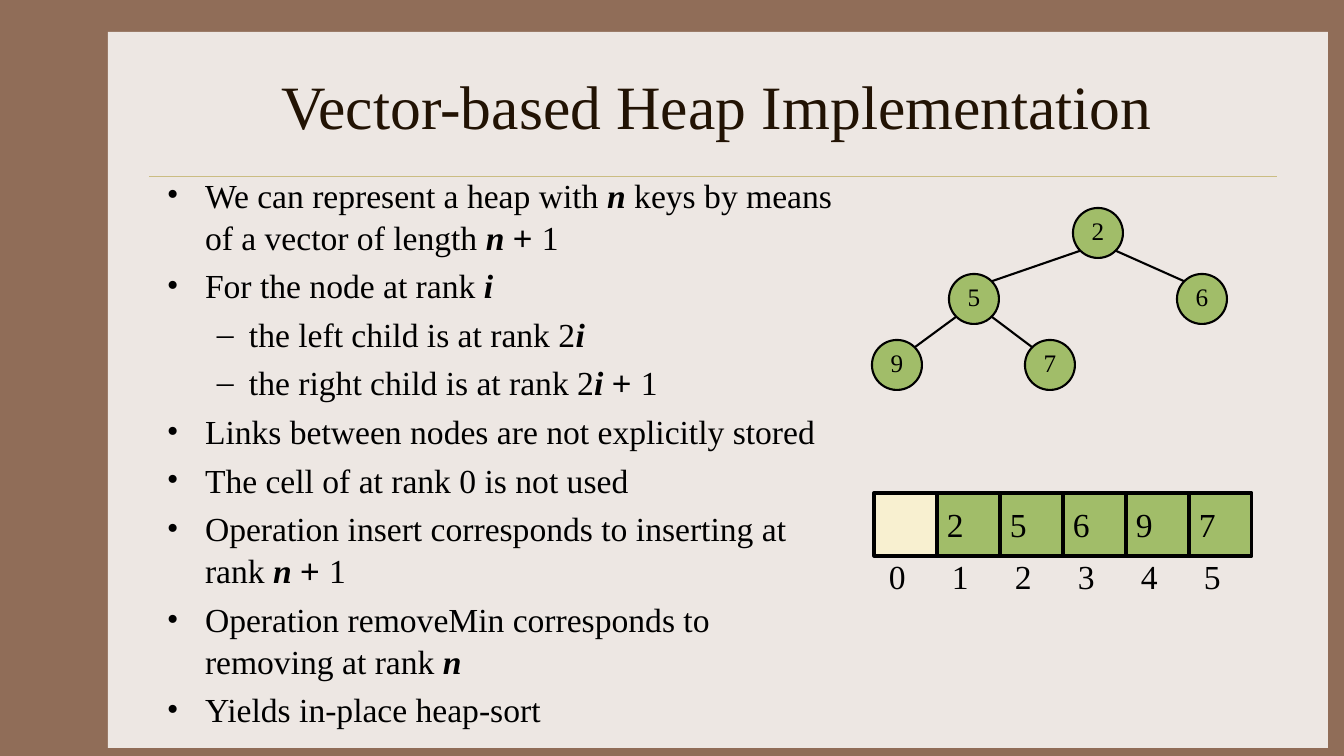
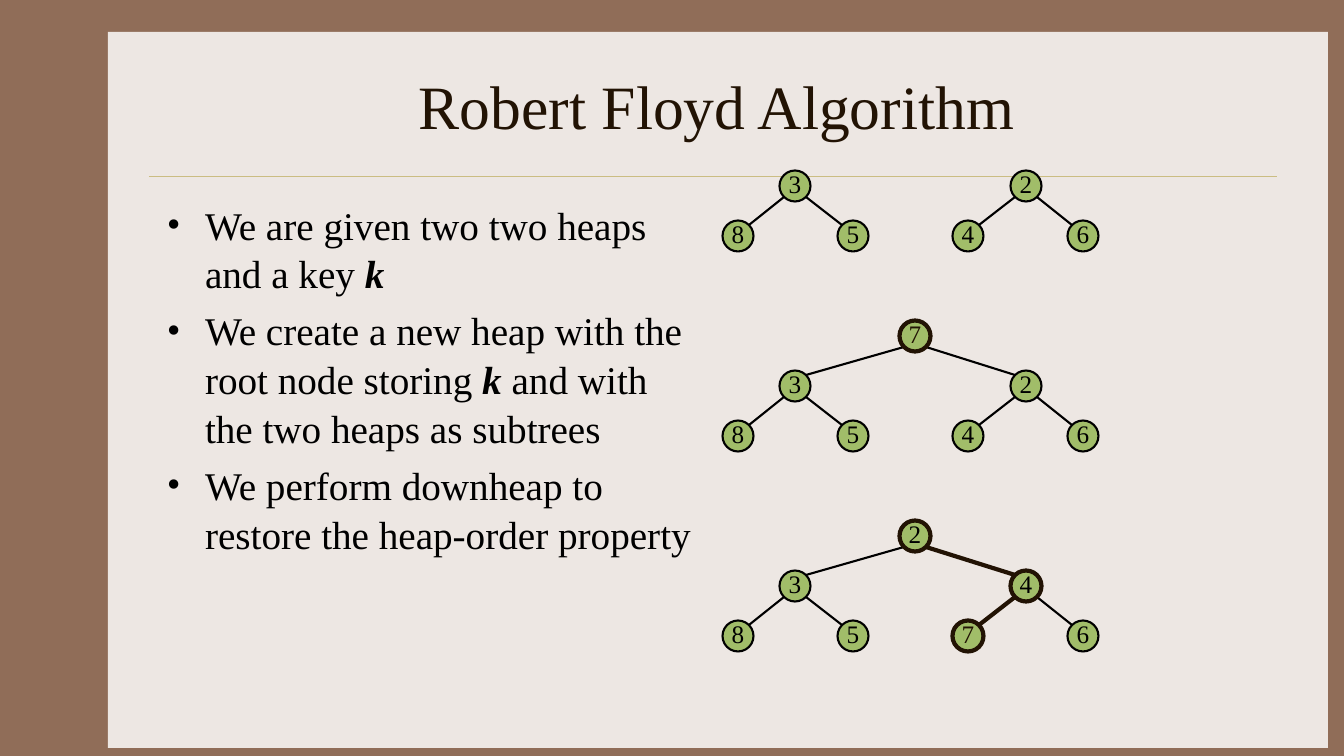
from lxml import etree
from pptx import Presentation
from pptx.dml.color import RGBColor
from pptx.enum.shapes import MSO_CONNECTOR, MSO_SHAPE
from pptx.enum.text import MSO_ANCHOR, PP_ALIGN
from pptx.oxml.ns import qn
from pptx.util import Emu, Pt

STRAIGHT = MSO_CONNECTOR.STRAIGHT
RECTANGLE, OVAL = MSO_SHAPE.RECTANGLE, MSO_SHAPE.OVAL
TOP, MIDDLE = MSO_ANCHOR.TOP, MSO_ANCHOR.MIDDLE
LEFT, CENTER = PP_ALIGN.LEFT, PP_ALIGN.CENTER

BROWN = RGBColor(0x90, 0x6D, 0x58)
PANEL = RGBColor(0xED, 0xE7, 0xE3)
RULE = RGBColor(0xCB, 0xBD, 0x83)
DARK = RGBColor(0x22, 0x13, 0x04)
BLACK = RGBColor(0, 0, 0)
GREEN = RGBColor(0xA1, 0xBD, 0x69)
CREAM = RGBColor(0xF8, 0xF0, 0xD0)

SERIF, SANS = "Times New Roman", "Arial"
EMU_PER_PX = 914400 / 100.8
WIDE_INSETS = (10, 5, 10, 5)
NODE_INSETS = (0, 0, 0, 5)
NO_INSETS = (0, 0, 0, 0)
BULLETS = {0: ("•", 38, 38), 1: ("–", 82, 32)}

VARIABLE = {"bold": True, "italic": True}
N_PLUS_1 = [("n ", VARIABLE), ("+ ", {"name": SANS}), ("1", {})]
I_PLUS_1 = [("i ", VARIABLE), *N_PLUS_1[1:]]

VECTOR_POINTS = [
    (0, [("We can represent a heap with ", {}), ("n", VARIABLE),
         (" keys by means of a vector of length ", {}), *N_PLUS_1]),
    (0, [("For the node at rank ", {}), ("i", VARIABLE)]),
    (1, [("the left child is at rank 2", {}), ("i", VARIABLE)]),
    (1, [("the right child is at rank 2", {}), *I_PLUS_1]),
    (0, [("Links between nodes are not explicitly stored", {})]),
    (0, [("The cell of at rank 0 is not used", {})]),
    (0, [("Operation insert corresponds to inserting at rank ", {}), *N_PLUS_1]),
    (0, [("Operation removeMin corresponds to removing at rank ", {}), ("n", VARIABLE)]),
    (0, [("Yields in-place heap-sort", {})]),
]
FLOYD_POINTS = [
    (0, [("We are given two two heaps and a key ", {}), ("k", VARIABLE)]),
    (0, [("We create a new heap with the root node storing ", {}), ("k", VARIABLE),
         (" and with the two heaps as subtrees", {})]),
    (0, [("We perform downheap to restore the heap-order property", {})]),
]

VECTOR_KEYS = {1: 2, 2: 5, 3: 6, 4: 9, 5: 7}
VECTOR_COLUMNS = {1: 1098, 2: 974, 3: 1202, 4: 897, 5: 1050}
FLOYD_COLUMNS = {1: 915, 2: 795, 3: 1026, 4: 738, 5: 853, 6: 968, 7: 1083}
TWO_HEAPS = {2: 3, 3: 2, 4: 8, 5: 5, 6: 4, 7: 6}
NEW_KEY = 7
FLOYD_STAGES = [
    (TWO_HEAPS, ()),
    ({1: NEW_KEY, **TWO_HEAPS}, (1,)),
    ({**TWO_HEAPS, 1: 2, 3: 4, 6: NEW_KEY}, (1, 3, 6)),
]


def px(length):
    return Emu(round(length * EMU_PER_PX))


def add_runs(paragraph, runs, size, color):
    for text, style in runs:
        run = paragraph.add_run()
        run.text = text
        font = run.font
        font.name = style.get("name", SERIF)
        font.size = Pt(size)
        font.color.rgb = color
        font.bold = style.get("bold", False)
        font.italic = style.get("italic", False)


def set_frame(frame, insets, anchor, wrap=True):
    frame.word_wrap = wrap
    frame.vertical_anchor = anchor
    (frame.margin_left, frame.margin_top,
     frame.margin_right, frame.margin_bottom) = map(px, insets)


def write_text(frame, text, size=24, color=BLACK, align=LEFT, anchor=MIDDLE,
               insets=WIDE_INSETS, wrap=True):
    set_frame(frame, insets, anchor, wrap)
    paragraph = frame.paragraphs[0]
    paragraph.alignment = align
    add_runs(paragraph, [(str(text), {})], size, color)


def add_text_box(slide, box, text, **text_format):
    frame = slide.shapes.add_textbox(*map(px, box)).text_frame
    write_text(frame, text, **text_format)


def add_bullets(slide, box, points, size):
    frame = slide.shapes.add_textbox(*map(px, box)).text_frame
    set_frame(frame, WIDE_INSETS, TOP)
    for position, (level, runs) in enumerate(points):
        paragraph = frame.add_paragraph() if position else frame.paragraphs[0]
        mark, margin, hanging = BULLETS[level]
        properties = paragraph._p.get_or_add_pPr()
        properties.set("marL", str(px(margin)))
        properties.set("indent", str(-px(hanging)))
        etree.SubElement(properties, qn("a:buFont")).set("typeface", SERIF)
        etree.SubElement(properties, qn("a:buChar")).set("char", mark)
        paragraph.level = level
        paragraph.line_spacing = 1.04
        if position:
            paragraph.space_before = Pt(size * 0.2)
        add_runs(paragraph, runs, size, BLACK)


def add_block(slide, kind, box, fill, line=None, weight=0):
    block = slide.shapes.add_shape(kind, *map(px, box))
    block.shadow.inherit = False
    block.fill.solid()
    block.fill.fore_color.rgb = fill
    if line is None:
        block.line.fill.background()
    else:
        block.line.color.rgb = line
        block.line.width = Pt(weight)
    return block


def add_line(slide, start, end, color, weight):
    line = slide.shapes.add_connector(STRAIGHT, *map(px, (*start, *end)))
    line.line.color.rgb = color
    line.line.width = Pt(weight)
    etree.SubElement(line._element.spPr, qn("a:effectLst"))


def add_tree(slide, keys, columns, root_y, row_gap, diameter, path=(), new_key=None):
    radius = diameter / 2
    reach = radius * 0.71
    centers = {rank: (columns[rank], root_y + row_gap * (rank.bit_length() - 1))
               for rank in keys}

    def outline(*ranks):
        return (DARK, 3) if all(rank in path for rank in ranks) else (BLACK, 1.5)

    for rank, (x, y) in centers.items():
        parent = rank // 2
        if parent in centers:
            parent_x, parent_y = centers[parent]
            side = -reach if rank % 2 == 0 else reach
            add_line(slide, (parent_x + side, parent_y + reach),
                     (x - side, y - reach), *outline(parent, rank))
    for rank, (x, y) in centers.items():
        node = add_block(slide, OVAL, (x - radius, y - radius, diameter, diameter),
                         GREEN, *outline(rank))
        write_text(node.text_frame, keys[rank], size=18, align=CENTER,
                   color=DARK if keys[rank] == new_key else BLACK,
                   insets=NODE_INSETS, wrap=False)


def add_vector(slide, keys, left, top, cell):
    for rank in range(len(keys) + 1):
        x = left + rank * cell
        used = rank in keys
        slot = add_block(slide, RECTANGLE, (x, top, cell, cell),
                         GREEN if used else CREAM, BLACK, 2.25)
        if used:
            write_text(slot.text_frame, keys[rank])
        add_text_box(slide, (x + 15, top + cell, 30, 40), rank,
                     anchor=TOP, insets=NO_INSETS)


def add_titled_slide(deck, title):
    slide = deck.slides.add_slide(deck.slide_layouts[6])
    add_block(slide, RECTANGLE, (108, 32, 1220, 716), PANEL)
    add_line(slide, (149, 176), (1277, 176), RULE, 0.25)
    add_text_box(slide, (157, 42, 1120, 126), title, size=44, color=DARK, align=CENTER)
    return slide


def main():
    deck = Presentation()
    deck.slide_width, deck.slide_height = px(1344), px(756)
    background = deck.slide_master.background.fill
    background.solid()
    background.fore_color.rgb = BROWN

    vector = add_titled_slide(deck, "Vector-based Heap Implementation")
    add_bullets(vector, (157, 168, 692, 479), VECTOR_POINTS, 24)
    add_tree(vector, VECTOR_KEYS, VECTOR_COLUMNS, 233, 66, 50)
    add_vector(vector, VECTOR_KEYS, 874, 493, 63)

    floyd = add_titled_slide(deck, "Robert Floyd Algorithm")
    add_bullets(floyd, (157, 194, 548, 454), FLOYD_POINTS, 28)
    for stage, (keys, path) in enumerate(FLOYD_STAGES):
        add_tree(floyd, keys, FLOYD_COLUMNS, 136 + 200 * stage, 50, 31, path, NEW_KEY)

    deck.save("out.pptx")


if __name__ == "__main__":
    main()
